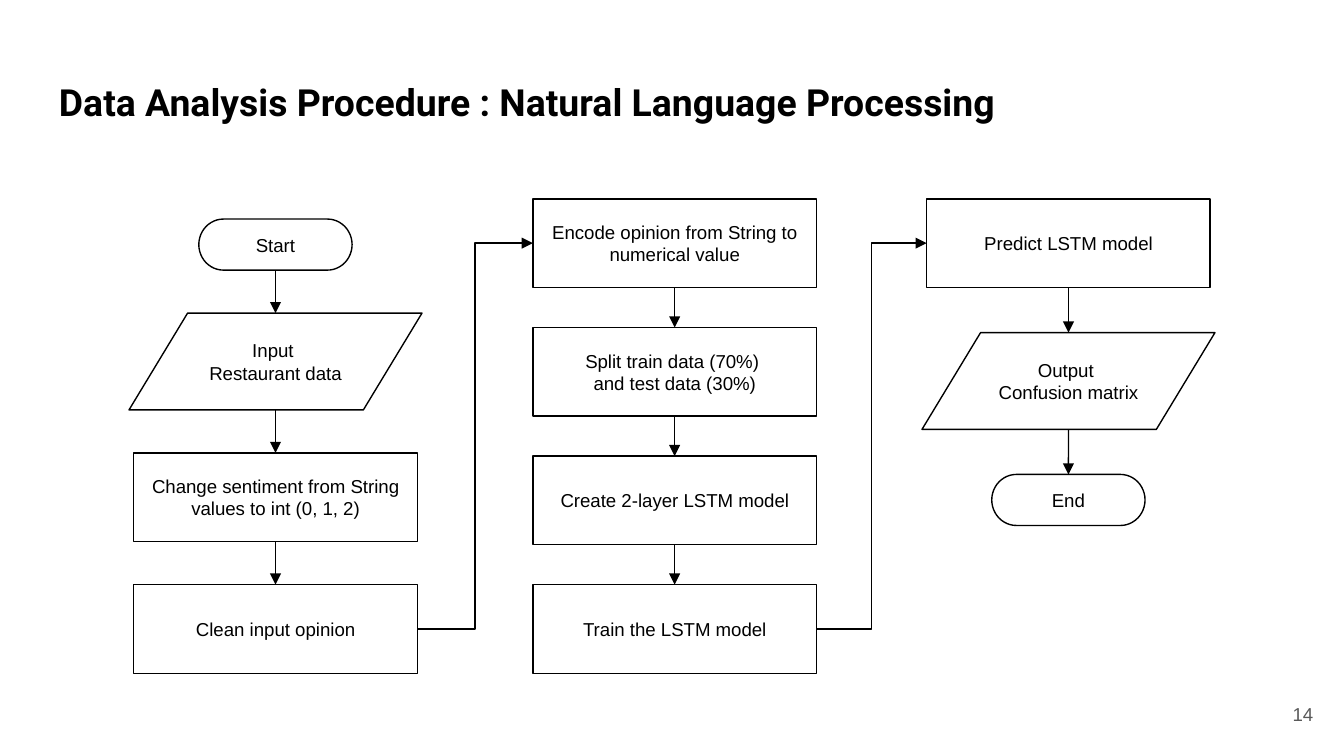
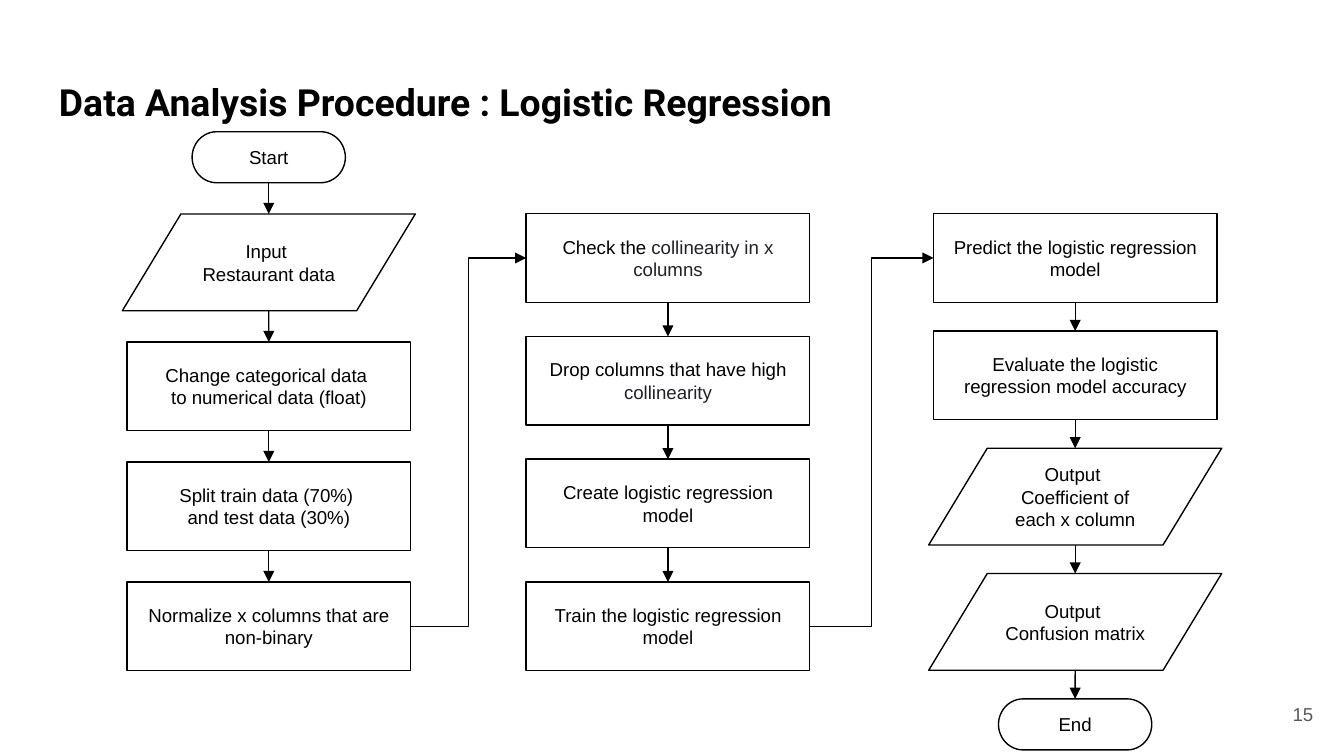
import dataclasses

import pptx
import pptx.dml.color
import pptx.enum.shapes
import pptx.enum.text
import pptx.oxml.ns
import pptx.util
from lxml import etree

Inches = pptx.util.Inches
SHAPE = pptx.enum.shapes.MSO_SHAPE
LINK = pptx.enum.shapes.MSO_CONNECTOR
ALIGN = pptx.enum.text.PP_ALIGN
ANCHOR = pptx.enum.text.MSO_ANCHOR
TOP, LEFT, BOTTOM, RIGHT = range(4)


@dataclasses.dataclass(frozen=True)
class Theme:
    ink: str = "000000"
    soft_ink: str = "202124"
    paper: str = "FFFFFF"
    page_ink: str = "595959"
    title_font: str = "Roboto"
    body_font: str = "Arial"
    title_size: int = 20
    body_size: int = 10
    line_width: float = 0.75


THEME = Theme()

# Flowchart symbols: preset shape, width, height
SYMBOLS = {
    "terminal": (SHAPE.FLOWCHART_TERMINATOR, 1.14, 0.38),
    "data": (SHAPE.FLOWCHART_DATA, 2.18, 0.72),
    "process": (SHAPE.RECTANGLE, 2.11, 0.66),
}

START = ("terminal", ["Start"])
END = ("terminal", ["End"])
INPUT = ("data", ["Input ", "Restaurant data"])
CONFUSION = ("data", ["Output ", "Confusion matrix"])
SPLIT = ("process", ["Split train data (70%) ", "and test data (30%)"])


def process(*paragraphs):
    return "process", paragraphs


# Each column: centre x, top, bottom, steps
LANGUAGE_COLUMNS = [
    (2.05, 1.63, 5.01, [
        START,
        INPUT,
        process("Change sentiment from String values to int (0, 1, 2)"),
        process("Clean input opinion"),
    ]),
    (5.02, 1.48, 5.01, [
        process("Encode opinion from String to numerical value"),
        SPLIT,
        process("Create 2-layer LSTM model"),
        process("Train the LSTM model"),
    ]),
    (7.95, 1.48, 3.91, [
        process("Predict LSTM model"),
        CONFUSION,
        END,
    ]),
]

# A paragraph given as a list holds (text, colour) runs
REGRESSION_COLUMNS = [
    (2.0, 0.98, 4.99, [
        START,
        INPUT,
        process("Change categorical data ", "to numerical data (float)"),
        SPLIT,
        process("Normalize x columns that are non-binary"),
    ]),
    (4.97, 1.59, 4.99, [
        process([("Check the ", THEME.ink),
                 ("collinearity in x columns", THEME.soft_ink)]),
        process([("Drop columns that have high ", THEME.ink),
                 ("collinearity", THEME.soft_ink)]),
        process("Create logistic regression model"),
        process("Train the logistic regression model"),
    ]),
    (8.0, 1.59, 5.58, [
        process("Predict the logistic regression model"),
        process("Evaluate the logistic regression model accuracy"),
        ("data", ["Output ", "Coefficient of each x column"]),
        CONFUSION,
        END,
    ]),
]


def rgb(value):
    return pptx.dml.color.RGBColor.from_string(value)


def write_text(sp, paragraphs, color=THEME.ink, font=THEME.body_font,
               size=THEME.body_size, bold=False, align=ALIGN.CENTER,
               anchor=ANCHOR.MIDDLE):
    tf = sp.text_frame
    tf.word_wrap = True
    tf.vertical_anchor = anchor
    tf.margin_left = tf.margin_right = Inches(0.1)
    tf.margin_top = tf.margin_bottom = Inches(0.1)
    for i, content in enumerate(paragraphs):
        p = tf.add_paragraph() if i else tf.paragraphs[0]
        p.alignment = align
        p.font.name = font
        p.font.size = pptx.util.Pt(size)
        p.font.bold = bold
        runs = [(content, color)] if isinstance(content, str) else content
        for text, run_color in runs:
            r = p.add_run()
            r.text = text
            r.font.color.rgb = rgb(run_color)


def add_label(s, box, text, **style):
    sp = s.shapes.add_textbox(*map(Inches, box))
    write_text(sp, [text], **style)


def add_step(s, center_x, top, kind, paragraphs):
    preset, width, height = SYMBOLS[kind]
    sp = s.shapes.add_shape(preset, Inches(center_x - width / 2), Inches(top),
                            Inches(width), Inches(height))
    sp.shadow.inherit = False
    sp.fill.solid()
    sp.fill.fore_color.rgb = rgb(THEME.paper)
    sp.line.color.rgb = rgb(THEME.ink)
    sp.line.width = pptx.util.Pt(THEME.line_width)
    write_text(sp, paragraphs)
    return sp


def side_middle(sp, side):
    if side in (TOP, BOTTOM):
        return sp.left + sp.width // 2, sp.top + (sp.height if side == BOTTOM else 0)
    return sp.left + (sp.width if side == RIGHT else 0), sp.top + sp.height // 2


def add_arrow(s, link, source, source_side, target, target_side):
    arrow = s.shapes.add_connector(link, *side_middle(source, source_side),
                                   *side_middle(target, target_side))
    # The slanted data symbol numbers its connection sites differently
    if source.auto_shape_type != SHAPE.FLOWCHART_DATA:
        arrow.begin_connect(source, source_side)
    if target.auto_shape_type != SHAPE.FLOWCHART_DATA:
        arrow.end_connect(target, target_side)
    arrow.line.color.rgb = rgb(THEME.ink)
    arrow.line.width = pptx.util.Pt(THEME.line_width)
    qn = pptx.oxml.ns.qn
    etree.SubElement(arrow.get_or_add_ln(), qn("a:tailEnd"), type="triangle")
    etree.SubElement(arrow.element.spPr, qn("a:effectLst"))


def add_column(s, center_x, top, bottom, steps):
    """Spread the steps evenly from top to bottom and chain them."""
    heights = [SYMBOLS[kind][2] for kind, _ in steps]
    gap = (bottom - top - sum(heights)) / (len(steps) - 1)
    shapes = []
    for (kind, paragraphs), height in zip(steps, heights):
        shapes.append(add_step(s, center_x, top, kind, paragraphs))
        top += height + gap
    for source, target in zip(shapes, shapes[1:]):
        add_arrow(s, LINK.STRAIGHT, source, BOTTOM, target, TOP)
    return shapes


def add_flow_slide(prs, title, page, columns):
    s = prs.slides.add_slide(prs.slide_layouts[6])
    s.background.fill.solid()
    s.background.fill.fore_color.rgb = rgb(THEME.paper)

    # Title and page number
    add_label(s, (0.34, 0.49, 9.32, 0.63), f"Data Analysis Procedure : {title}",
              font=THEME.title_font, size=THEME.title_size, bold=True,
              align=ALIGN.LEFT, anchor=ANCHOR.TOP)
    add_label(s, (9.27, 5.1, 0.6, 0.43), str(page), color=THEME.page_ink,
              align=ALIGN.RIGHT)

    # Columns, each leading from its last step to the next column's first
    drawn = [add_column(s, *column) for column in columns]
    for before, after in zip(drawn, drawn[1:]):
        add_arrow(s, LINK.ELBOW, before[-1], RIGHT, after[0], LEFT)


def main():
    prs = pptx.Presentation()
    # Widescreen, 16:9
    prs.slide_width = Inches(10)
    prs.slide_height = Inches(10 * 9 / 16)
    add_flow_slide(prs, "Natural Language Processing", 14, LANGUAGE_COLUMNS)
    add_flow_slide(prs, "Logistic Regression", 15, REGRESSION_COLUMNS)
    prs.save("out.pptx")


if __name__ == "__main__":
    main()
